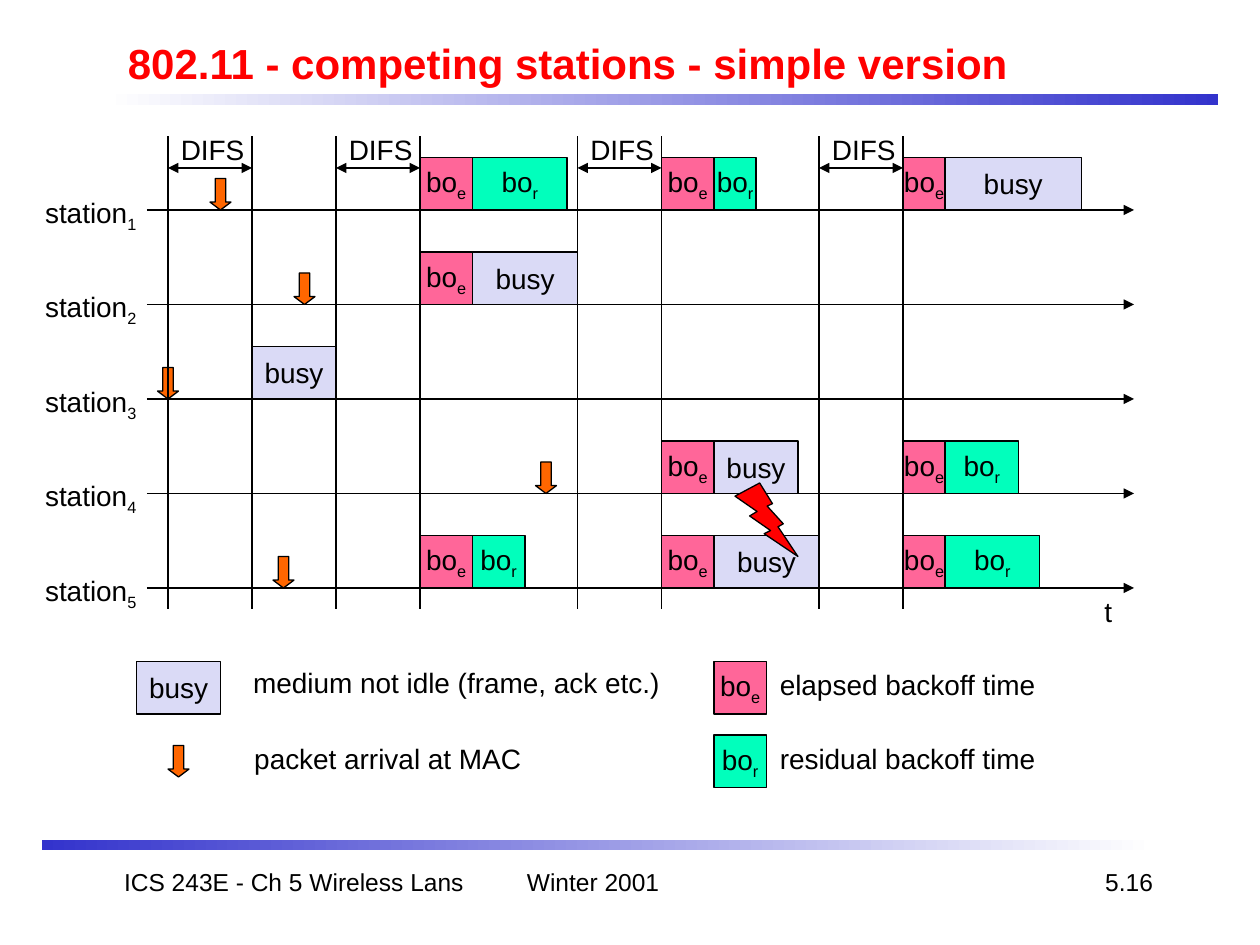
from lxml import etree
from pptx import Presentation
from pptx.dml.color import RGBColor
from pptx.enum.shapes import MSO_CONNECTOR, MSO_SHAPE
from pptx.enum.text import MSO_ANCHOR, MSO_AUTO_SIZE, PP_ALIGN
from pptx.oxml.ns import qn
from pptx.util import Pt

RECTANGLE, DOWN_ARROW, BOLT = MSO_SHAPE.RECTANGLE, MSO_SHAPE.DOWN_ARROW, MSO_SHAPE.LIGHTNING_BOLT
STRAIGHT = MSO_CONNECTOR.STRAIGHT
LEFT, CENTER, RIGHT = PP_ALIGN.LEFT, PP_ALIGN.CENTER, PP_ALIGN.RIGHT
TOP, MIDDLE = MSO_ANCHOR.TOP, MSO_ANCHOR.MIDDLE
FIT_SHAPE, FIXED = MSO_AUTO_SIZE.SHAPE_TO_FIT_TEXT, MSO_AUTO_SIZE.NONE

BLACK = RGBColor(0x00, 0x00, 0x00)
WHITE = RGBColor(0xFF, 0xFF, 0xFF)
RED = RGBColor(0xFF, 0x00, 0x00)
BLUE = RGBColor(0x33, 0x33, 0xCC)
LAVENDER = RGBColor(0xDA, 0xDA, 0xF6)
PINK = RGBColor(0xFF, 0x66, 0x99)
GREEN = RGBColor(0x01, 0xFF, 0xBC)
ORANGE = RGBColor(0xFF, 0x66, 0x00)

LABEL = {"name": "Arial", "size": Pt(16)}
FOOTER = {"name": "Arial", "size": Pt(14)}
TITLE = {"name": "Arial", "size": Pt(24), "bold": True}
FREE = {"word_wrap": False, "auto_size": FIT_SHAPE, "vertical_anchor": TOP}
INSIDE = {"word_wrap": False, "auto_size": FIXED, "vertical_anchor": MIDDLE}
WRAPPED = {"word_wrap": True, "auto_size": FIXED, "vertical_anchor": TOP}

# Time axes are evenly spaced; each interframe space has the same width
FIRST_AXIS, AXIS_GAP, BLOCK_HEIGHT = 120, 54, 30
DIFS_STARTS, DIFS_WIDTH = (96, 192, 330, 468), 48
AXES = [FIRST_AXIS + AXIS_GAP * row for row in range(5)]

# Kind of block: text, subscript, fill
KINDS = {"busy": ("busy", "", LAVENDER), "elapsed": ("bo", "e", PINK), "residual": ("bo", "r", GREEN)}

deck = Presentation()
deck.slide_width, deck.slide_height = Pt(720), Pt(540)
page = deck.slides.add_slide(deck.slide_layouts[6])


def write(box, text, subscript="", font=LABEL, frame=FREE, align=LEFT, color=BLACK):
    for name, value in frame.items():
        setattr(box.text_frame, name, value)
    para = box.text_frame.paragraphs[0]
    para.alignment = align
    for part, baseline in ((text, None), (subscript, "-25000")):
        if not part:
            continue
        span = para.add_run()
        span.text = part
        for name, value in font.items():
            setattr(span.font, name, value)
        span.font.color.rgb = color
        if baseline:
            span._r.get_or_add_rPr().set("baseline", baseline)


def draw_line(x1, y1, x2, y2, heads=()):
    line = page.shapes.add_connector(STRAIGHT, Pt(x1), Pt(y1), Pt(x2), Pt(y2))
    line.line.color.rgb = BLACK
    line.line.width = Pt(0.75)
    for end in heads:
        etree.SubElement(line.line._get_or_add_ln(), qn(f"a:{end}"), type="triangle")
    etree.SubElement(line._element.spPr, qn("a:effectLst"))


# Gradient bars under the title and above the footer
for x, y, colors in ((60, 54, (WHITE, BLUE)), (24, 480, (BLUE, WHITE))):
    bar = page.shapes.add_shape(RECTANGLE, Pt(x), Pt(y), Pt(636), Pt(6))
    bar.shadow.inherit = False
    bar.line.fill.background()
    bar.fill.gradient()
    bar.fill.gradient_angle = 0
    for stop, color in zip(bar.fill.gradient_stops, colors):
        stop.color.rgb = color

# Title and footer
title = page.shapes.add_textbox(Pt(66), Pt(18), Pt(612), Pt(36))
write(title, "802.11 - competing stations - simple version", font=TITLE,
      frame={**WRAPPED, "vertical_anchor": MIDDLE}, color=RED)
for x, width, text, align in (
    (54, 228, "ICS 243E - Ch 5 Wireless Lans", CENTER),
    (294, 150, "Winter 2001", LEFT),
    (516, 150, "5.16", RIGHT),
):
    footer = page.shapes.add_textbox(Pt(x), Pt(492), Pt(width), Pt(36))
    write(footer, text, font=FOOTER, frame=WRAPPED, align=align)

# Station names and time axes
for number, axis in enumerate(AXES, 1):
    draw_line(84, axis, 648, axis, ["tailEnd"])
    station = page.shapes.add_textbox(Pt(18.7), Pt(axis - 12), Pt(69), Pt(29.5))
    write(station, "station", str(number))

# Packet arrivals, one per station, and the legend arrow
arrivals = [(x, axis - 18) for x, axis in zip((120, 168, 90, 306, 156), AXES)]
for x, y in arrivals + [(96, 426)]:
    arrow = page.shapes.add_shape(DOWN_ARROW, Pt(x), Pt(y), Pt(12), Pt(18))
    arrow.adjustments[1] = 0.375
    arrow.shadow.inherit = False
    arrow.fill.solid()
    arrow.fill.fore_color.rgb = ORANGE
    arrow.line.color.rgb = BLACK
    arrow.line.width = Pt(0.75)

# Interframe spaces
for start in DIFS_STARTS:
    end = start + DIFS_WIDTH
    for x in (start, end):
        draw_line(x, 348, x, 78)
    draw_line(start, 96, end, 96, ["headEnd", "tailEnd"])
    difs = page.shapes.add_textbox(Pt(start + 0.3), Pt(72), Pt(52), Pt(26.6))
    write(difs, "DIFS")

# Runs of adjoining blocks: station, start, then kind and width
runs = (
    (1, 240, (("elapsed", 30), ("residual", 54))),
    (1, 378, (("elapsed", 30), ("residual", 24))),
    (1, 516, (("elapsed", 24), ("busy", 78))),
    (2, 240, (("elapsed", 30), ("busy", 60))),
    (3, 144, (("busy", 48),)),
    (4, 378, (("elapsed", 30), ("busy", 48))),
    (4, 516, (("elapsed", 24), ("residual", 42))),
    (5, 240, (("elapsed", 30), ("residual", 30))),
    (5, 378, (("elapsed", 30), ("busy", 60))),
    (5, 516, (("elapsed", 24), ("residual", 54))),
)
blocks = [("busy", 78, 378, 48), ("elapsed", 408, 378, 30), ("residual", 408, 420, 30)]  # legend
for station_number, x, parts in runs:
    for kind, width in parts:
        blocks.append((kind, x, AXES[station_number - 1] - BLOCK_HEIGHT, width))
        x += width
for kind, x, y, width in blocks:
    text, subscript, color = KINDS[kind]
    block = page.shapes.add_shape(RECTANGLE, Pt(x), Pt(y), Pt(width), Pt(BLOCK_HEIGHT))
    block.shadow.inherit = False
    block.fill.solid()
    block.fill.fore_color.rgb = color
    block.line.color.rgb = BLACK
    block.line.width = Pt(0.75)
    write(block, text, subscript, frame=INSIDE, align=CENTER)

# Collision between stations 4 and 5
collision = page.shapes.add_shape(BOLT, Pt(420), Pt(276), Pt(36), Pt(42))
collision.shadow.inherit = False
collision.fill.solid()
collision.fill.fore_color.rgb = RED
collision.line.color.rgb = BLACK
collision.line.width = Pt(0.75)

# Time label and legend texts
for x, y, width, text in (
    (624, 336, 20, "t"),
    (137.5, 376.5, 251.3, "medium not idle (frame, ack etc.)"),
    (138.2, 420, 168, "packet arrival at MAC"),
    (438.5, 378, 162, "elapsed backoff time"),
    (438.5, 420, 162, "residual backoff time"),
):
    caption = page.shapes.add_textbox(Pt(x), Pt(y), Pt(width), Pt(26.6))
    write(caption, text)

deck.save("out.pptx")
